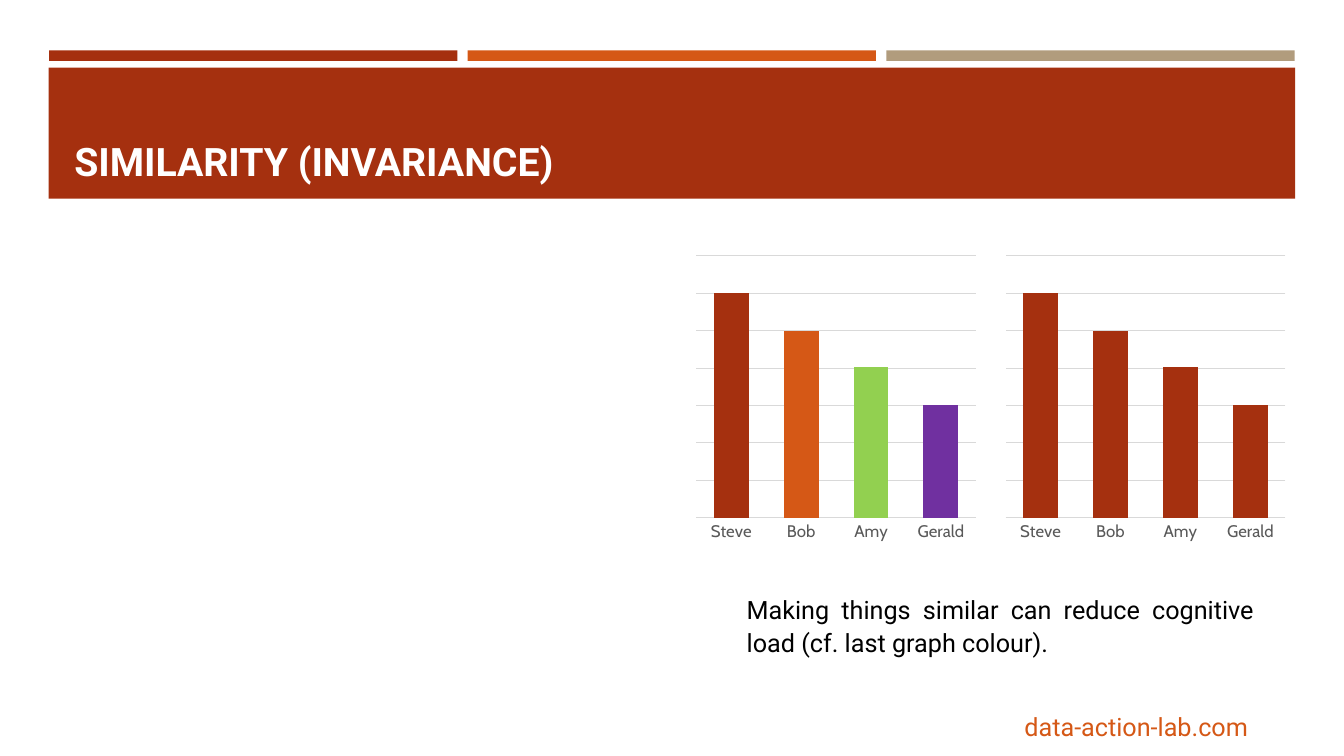
from lxml import etree
from pptx import Presentation
from pptx.chart.data import CategoryChartData as ChartData
from pptx.dml.color import RGBColor as RGB
from pptx.enum.chart import XL_CHART_TYPE as Kind, XL_TICK_MARK as Tick
from pptx.enum.shapes import MSO_SHAPE as Shape
from pptx.enum.text import MSO_ANCHOR as Anchor, PP_ALIGN as Align
from pptx.oxml.ns import qn
from pptx.util import Pt

HUES = {
    "rust": "A5300F", "orange": "D55816", "tan": "B19C7D", "green": "92D050",
    "purple": "7030A0", "grid": "D9D9D9", "label": "595959",
    "white": "FFFFFF", "black": "000000",
}
SCORES = {"Steve": 100, "Bob": 83, "Amy": 67, "Gerald": 50}
STEP = 16.67
PLOT = {"layoutTarget": "inner", "xMode": "edge", "yMode": "edge",
        "x": 0.02, "y": 0.02, "w": 0.96, "h": 0.88}


def hue(name):
    return RGB.from_string(HUES[name])


def paint(fill, name):
    fill.solid()
    fill.fore_color.rgb = hue(name)


def assign(target, values):
    for key, value in values.items():
        setattr(target, key, value)


class Deck:
    def __init__(self):
        self.prs = Presentation()
        assign(self.prs, {"slide_width": Pt(960), "slide_height": Pt(540)})
        self.slide = self.prs.slides.add_slide(self.prs.slide_layouts[6])
        self.shapes = self.slide.shapes

    def rect(self, box, color):
        shape = self.shapes.add_shape(Shape.RECTANGLE, *map(Pt, box))
        shape.shadow.inherit = False
        paint(shape.fill, color)
        shape.line.fill.background()

    def text(self, box, words, color, size=18, bold=False,
             anchor=Anchor.TOP, **layout):
        frame = self.shapes.add_textbox(*map(Pt, box)).text_frame
        assign(frame, {"word_wrap": True, "vertical_anchor": anchor})
        para = frame.paragraphs[0]
        assign(para, layout)
        run = para.add_run()
        run.text = words
        assign(run.font, {"name": "Roboto", "size": Pt(size), "bold": bold})
        run.font.color.rgb = hue(color)

    def chart(self, box, colors):
        """Draw the score columns; colors apply to the columns in turn."""
        data = ChartData()
        data.categories = list(SCORES)
        data.add_series("Series 1", list(SCORES.values()))
        chart = self.shapes.add_chart(
            Kind.COLUMN_CLUSTERED, *map(Pt, box), data).chart
        assign(chart, {"has_legend": False, "has_title": False})
        assign(chart.font, {"name": "Cabin", "size": Pt(10)})
        chart.font.color.rgb = hue("black")

        plot = chart.plots[0]
        assign(plot, {"gap_width": 100, "vary_by_categories": False})
        series = plot.series[0]
        paint(series.format.fill, colors[0])
        for i, color in enumerate(colors[1:], 1):
            paint(series.points[i].format.fill, color)

        cats, vals = chart.category_axis, chart.value_axis
        assign(cats, {"major_tick_mark": Tick.NONE,
                      "minor_tick_mark": Tick.NONE})
        font = cats.tick_labels.font
        assign(font, {"name": "Cabin", "size": Pt(12)})
        font.color.rgb = hue("label")
        assign(vals, {"minimum_scale": 0, "maximum_scale": 7 * STEP,
                      "major_unit": STEP, "visible": False,
                      "has_major_gridlines": True})
        for line in (cats.format.line, vals.major_gridlines.format.line):
            line.width = Pt(0.75)
            line.color.rgb = hue("grid")
        self.place(chart)

    def place(self, chart):
        """Fix the plot area inside the chart frame."""
        area = next(chart.element.iter(qn("c:plotArea")))
        for old in area.findall(qn("c:layout")):
            area.remove(old)
        layout = etree.Element(qn("c:layout"))
        manual = etree.SubElement(layout, qn("c:manualLayout"))
        for key, value in PLOT.items():
            etree.SubElement(manual, qn("c:" + key), val=str(value))
        area.insert(0, layout)


def main():
    deck = Deck()
    for i, color in enumerate(("rust", "orange", "tan")):
        deck.rect((35.1 + 299 * i, 36, 291.6, 7.5), color)
    deck.rect((34.8, 48.3, 890.4, 93.6), "rust")
    deck.text((711.4, 504.7, 187.2, 28.8), "data-action-lab.com", "orange",
              alignment=Align.RIGHT)
    deck.text((46.1, 55.4, 868.3, 79.9), "SIMILARITY (INVARIANCE)", "white",
              size=28, bold=True, anchor=Anchor.BOTTOM)
    mixed = ("rust", "orange", "green", "purple")
    for left, colors in ((493.2, mixed), (714.2, ("rust",))):
        deck.chart((left, 178.6, 208.1, 212.4), colors)
    deck.text((526.3, 419, 376.6, 54.7),
              "Making things similar can reduce cognitive load "
              "(cf. last graph colour).", "black",
              alignment=Align.JUSTIFY, line_spacing=1.1)
    deck.prs.save("out.pptx")


if __name__ == "__main__":
    main()
